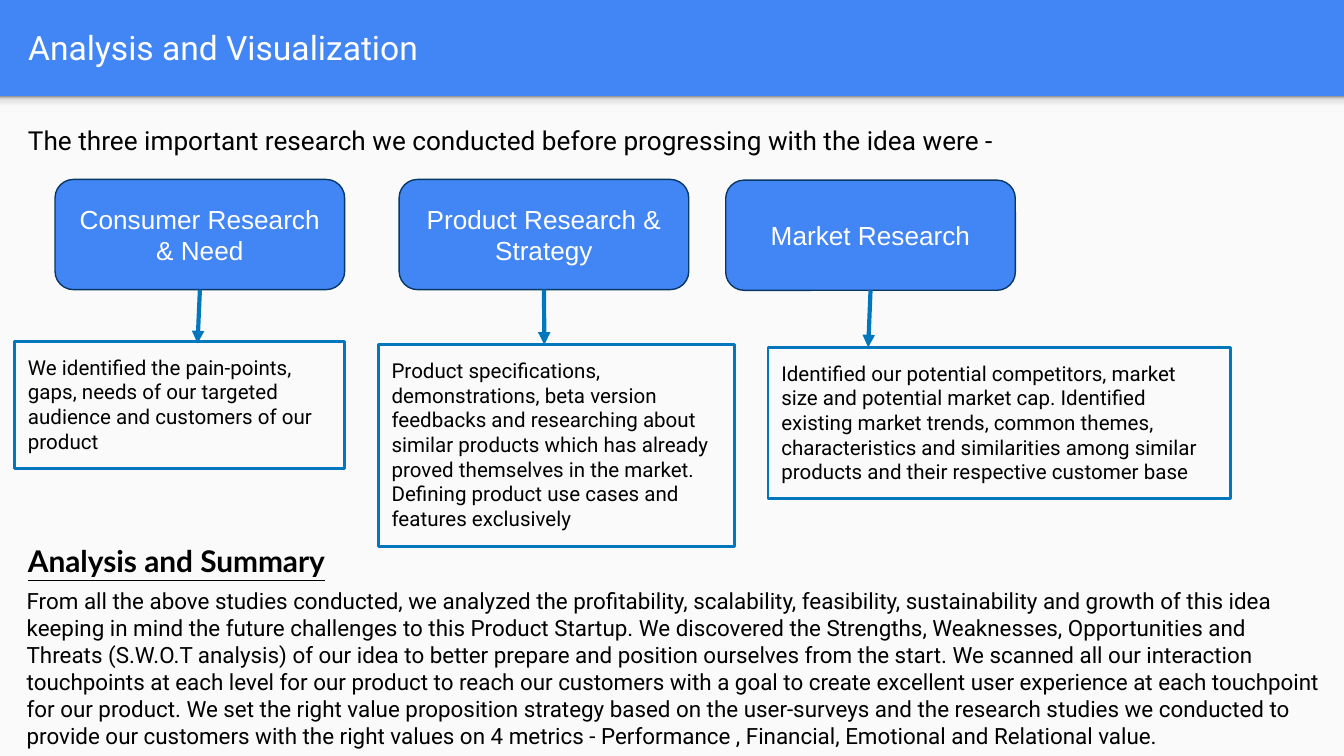
import copy

import pptx
import pptx.dml.color
import pptx.enum.shapes
import pptx.enum.text
import pptx.oxml
import pptx.oxml.ns
import pptx.util

PX = 4572
BLUE, DARK_BLUE, LINE_BLUE = "4285F4", "073763", "0277BD"
PAPER, WHITE, BLACK = "FAFAFA", "FFFFFF", "000000"
SHAPES = pptx.enum.shapes.MSO_SHAPE
ALIGN = pptx.enum.text.PP_ALIGN
ANCHOR = pptx.enum.text.MSO_ANCHOR

RESEARCH = [
    ((82, 267, 431, 164), "Consumer Research & Need", (22, 508, 491, 189), (294, 511),
     "We identified the pain-points, gaps, needs of our targeted audience and customers of our product"),
    ((594, 267, 431, 164), "Product Research & Strategy", (563, 513, 530, 300), (810, 513),
     "Product specifications, demonstrations, beta version feedbacks and researching about similar "
     "products which has already proved themselves in the market. Defining product use cases and "
     "features exclusively"),
    ((1080, 268, 431, 164), "Market Research", (1143, 517, 688, 225), (1292, 517),
     "Identified our potential competitors, market size and potential market cap. Identified existing "
     "market trends, common themes, characteristics and similarities among similar products and their "
     "respective customer base"),
]
SUMMARY = (
    "From all the above studies conducted, we analyzed the profitability, scalability, feasibility, "
    "sustainability and growth of this idea keeping in mind the future challenges to this Product "
    "Startup. We discovered the Strengths, Weaknesses, Opportunities and Threats (S.W.O.T analysis) of "
    "our idea to better prepare and position ourselves from the start. We scanned all our interaction "
    "touchpoints at each level for our product to reach our customers with a goal to create excellent "
    "user experience at each touchpoint for our product. We set the right value proposition strategy "
    "based on the user-surveys and the research studies we conducted to provide our customers with the "
    "right values on 4 metrics - Performance , Financial, Emotional and Relational value."
)


def color(value):
    """Return the colour for a hex string."""
    return pptx.dml.color.RGBColor.from_string(value)


def emu(box):
    """Turn px lengths into EMU."""
    return [length * PX for length in box]


def write(shape, text, size, font="Roboto", ink=BLACK, align=ALIGN.LEFT, anchor=ANCHOR.TOP):
    """Put one formatted paragraph in a shape and return its font."""
    frame = shape.text_frame
    frame.text = text
    frame.word_wrap = True
    frame.auto_size = pptx.enum.text.MSO_AUTO_SIZE.NONE
    frame.vertical_anchor = anchor
    frame.margin_left = frame.margin_right = frame.margin_top = frame.margin_bottom = 20 * PX
    paragraph = frame.paragraphs[0]
    paragraph.alignment = align
    run_font = paragraph.runs[0].font
    run_font.name = font
    run_font.size = pptx.util.Pt(size)
    run_font.color.rgb = color(ink)
    return run_font


def add_shape(slide, kind, box, fill=None, line=None, width=0):
    """Add a preset shape without a shadow."""
    shape = slide.shapes.add_shape(kind, *emu(box))
    shape.shadow.inherit = False
    if fill:
        shape.fill.solid()
        shape.fill.fore_color.rgb = color(fill)
    else:
        shape.fill.background()
    if line:
        shape.line.color.rgb = color(line)
        shape.line.width = pptx.util.Pt(width)
    else:
        shape.line.fill.background()
    return shape


def add_text(slide, box, text, size, font="Roboto"):
    """Add a text box and return its font."""
    return write(slide.shapes.add_textbox(*emu(box)), text, size, font)


def add_backdrop(slide, box):
    """Add the blue ground, the pale panel and the shade along its top."""
    left, top, width, height = box
    slide.background.fill.solid()
    slide.background.fill.fore_color.rgb = color(BLUE)
    add_shape(slide, SHAPES.RECTANGLE, box, PAPER)
    shade = add_shape(slide, SHAPES.RECTANGLE, (left, top, width, 24))
    shade.fill.gradient()
    shade.fill.gradient_angle = 90
    stop_list = shade._element.spPr.find(".//" + pptx.oxml.ns.qn("a:gsLst"))
    for _ in range(2):
        stop_list.append(copy.deepcopy(stop_list[0]))
    stops = [(0, "F9F9F9"), (0.36, "F9F9F9"), (0.8, "DEDEDE"), (1, "999999")]
    for stop, (position, value) in zip(shade.fill.gradient_stops, stops):
        stop.position = position
        stop.color.rgb = color(value)


def add_title(slide, box, text):
    """Place and format the title placeholder."""
    title = slide.shapes.title
    title.left, title.top, title.width, title.height = emu(box)
    write(title, text, 18, ink=WHITE, anchor=ANCHOR.MIDDLE)


def add_arrow(slide, card, tip):
    """Draw an arrow from the bottom of a card to a point."""
    x, y = emu(tip)
    arrow = slide.shapes.add_connector(pptx.enum.shapes.MSO_CONNECTOR.STRAIGHT, x, y, x, y)
    arrow.begin_connect(card, 2)
    arrow.line.color.rgb = color(LINE_BLUE)
    arrow.line.width = pptx.util.Pt(2.25)
    properties = arrow._element.spPr
    line = properties.find(pptx.oxml.ns.qn("a:ln"))
    namespace = pptx.oxml.ns.nsdecls("a")
    line.append(pptx.oxml.parse_xml(f'<a:tailEnd {namespace} type="triangle"/>'))
    properties.append(pptx.oxml.parse_xml(f"<a:effectLst {namespace}/>"))


def add_research(slide, card_box, heading, note_box, tip, note_text):
    """Add one research card, its note and the arrow between them."""
    card = add_shape(slide, SHAPES.FLOWCHART_ALTERNATE_PROCESS, card_box, BLUE, DARK_BLUE, 0.75)
    write(card, heading, 14, "Arial", WHITE, ALIGN.CENTER, ANCHOR.MIDDLE)
    note = add_shape(slide, SHAPES.RECTANGLE, note_box, line=LINE_BLUE, width=1.5)
    write(note, note_text, 11)
    add_arrow(slide, card, tip)


def add_summary(slide, box):
    """Add the underlined heading and the closing text."""
    left, top, width, height = box
    heading_font = add_text(slide, (left + 2, top, 598, 94), "Analysis and Summary", 16, "Lato")
    heading_font.bold = True
    heading_font.underline = True
    add_text(slide, (left, top + 66, width, height - 66), SUMMARY, 12)


def main():
    """Build and save the slide."""
    presentation = pptx.Presentation()
    presentation.slide_width, presentation.slide_height = emu((2000, 1125))
    slide = presentation.slides.add_slide(presentation.slide_layouts[5])
    add_backdrop(slide, (0, 143, 2000, 982))
    add_title(slide, (22, 4, 1930, 132), "Analysis and Visualization")
    add_text(slide, (22, 165, 1958, 88),
             "The three important research we conducted before progressing with the idea were -", 14)
    for research in RESEARCH:
        add_research(slide, *research)
    add_summary(slide, (20, 788, 1970, 348))
    presentation.save("out.pptx")


if __name__ == "__main__":
    main()
